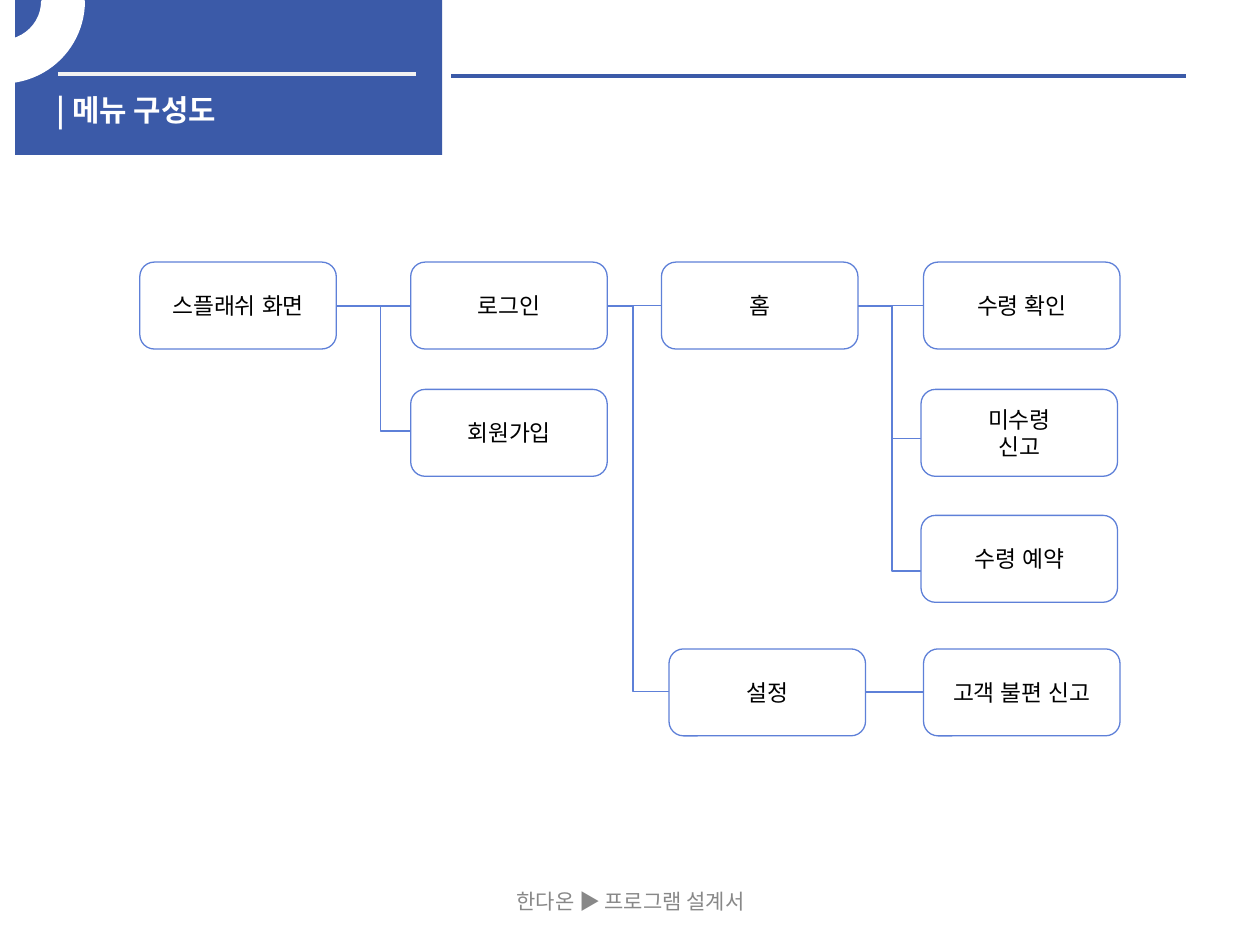
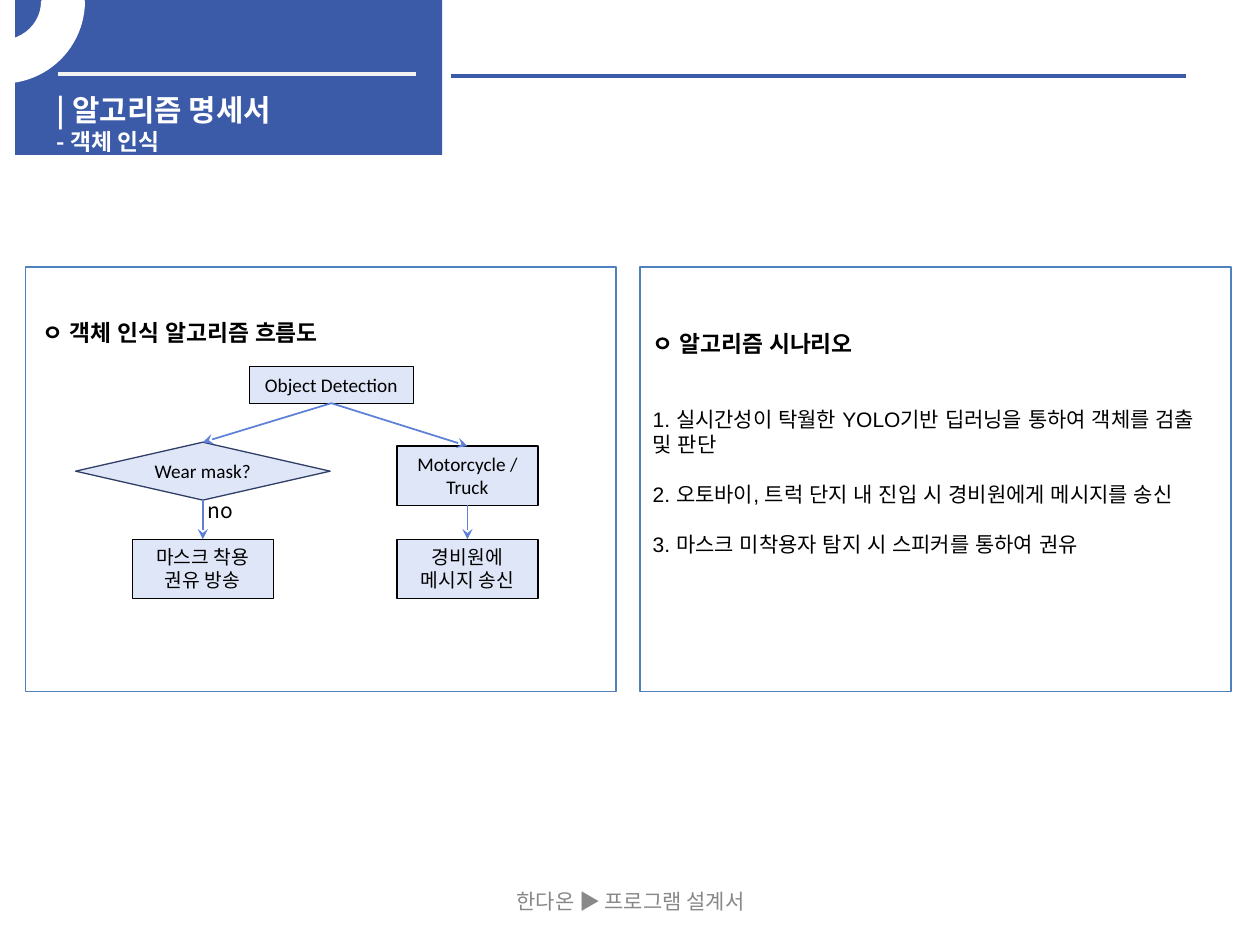
from dataclasses import dataclass

from lxml.etree import SubElement
from pptx import Presentation
from pptx.dml.color import RGBColor
from pptx.enum.shapes import MSO_CONNECTOR, MSO_SHAPE
from pptx.enum.text import MSO_ANCHOR, MSO_AUTO_SIZE, PP_ALIGN
from pptx.oxml.ns import qn
from pptx.util import Pt

SCALE = 9144
TOP, LEFT, BOTTOM, RIGHT = range(4)


def px(length):
    """Turn whole px, 100 to the inch, into EMU."""
    return length * SCALE


@dataclass(frozen=True)
class Type:
    """A font with its size, colour and weight."""
    font: str
    size: int
    color: str = "000000"
    bold: bool = False


@dataclass(frozen=True)
class Theme:
    """Colours and type sizes shared by the deck."""
    white: str = "FFFFFF"
    band: str = "3B5AA8"
    band_rule: str = "F2F2F2"
    link: str = "5E80D8"
    panel: str = "4F81BD"
    step: str = "DFE6F7"
    step_edge: str = "000000"
    choice_edge: str = "2E3E66"
    title: Type = Type("Noto Sans CJK KR", 17, "FFFFFF", True)
    subtitle: Type = Type("Noto Sans CJK KR", 13, "FFFFFF", True)
    footer: Type = Type("Noto Sans CJK KR", 12, "888888")
    heading: Type = Type("Arial", 13, bold=True)
    menu: Type = Type("Arial", 13)
    body: Type = Type("Arial", 12)
    flow: Type = Type("Calibri", 11)
    label: Type = Type("Noto Sans CJK KR", 12)


class Painter:
    """Holds the theme and the current slide, and draws each kind of element."""

    def __init__(self, deck, theme):
        self.deck, self.theme, self.page = deck, theme, None

    def start(self, layout, titles):
        """Add a page with the title band, the rules and the footer."""
        theme = self.theme
        self.page = self.deck.slides.add_slide(self.deck.slide_layouts[layout])
        self.shape(MSO_SHAPE.RECTANGLE, (12, 0, 339, 123), theme.band)
        self.line((46, 59), (330, 59), theme.band_rule, 2.25)
        self.line((358, 60), (941, 60), theme.band, 2.25)
        arc = self.shape(MSO_SHAPE.BLOCK_ARC, (-63, -63, 129, 128), theme.white, theme.white, 2)
        for index, value in enumerate((0, 54.41, 0.25)):
            arc.adjustments[index] = value
        title = self.placeholder(self.page.shapes.title, (35, 67, 323, 56))
        paras = self.fill_text(title, titles, theme.title)
        for para, style, pitch in zip(paras, (theme.title, theme.subtitle), (21, 16)):
            para.line_spacing = Pt(pitch)
            self.style(para.runs[0], style)
        self.text((342, 695, 317, 40), ["한다온 ▶ 프로그램 설계서"], theme.footer,
                  PP_ALIGN.CENTER, MSO_ANCHOR.MIDDLE)

    def style(self, span, style):
        """Give a run its font, for Latin and Korean letters alike."""
        font = span.font
        font.name, font.size, font.bold = style.font, Pt(style.size), style.bold
        font.color.rgb = RGBColor.from_string(style.color)
        properties = font._element
        east = properties.find(qn("a:ea"))
        if east is None:
            east = properties.makeelement(qn("a:ea"), {})
            properties.find(qn("a:latin")).addnext(east)
        east.set("typeface", style.font)

    def fill_text(self, box, texts, style, align=PP_ALIGN.LEFT, anchor=MSO_ANCHOR.TOP):
        """Put in one paragraph for each text and return them."""
        frame = box.text_frame
        frame.word_wrap, frame.auto_size = True, MSO_AUTO_SIZE.NONE
        frame.vertical_anchor = anchor
        frame.margin_left = frame.margin_right = px(10)
        frame.margin_top = frame.margin_bottom = px(5)
        for number, text in enumerate(texts):
            para = frame.add_paragraph() if number else frame.paragraphs[0]
            para.alignment, para.space_before = align, Pt(0)
            span = para.add_run()
            span.text = text
            self.style(span, style)
        return frame.paragraphs

    def placeholder(self, box, area):
        """Move a template placeholder to the front, at the given area."""
        box.left, box.top, box.width, box.height = map(px, area)
        self.page.shapes._spTree.append(box._element)
        return box

    def text(self, area, texts, style, align=PP_ALIGN.LEFT, anchor=MSO_ANCHOR.TOP):
        """Add a text box."""
        box = self.page.shapes.add_textbox(*map(px, area))
        self.fill_text(box, texts, style, align, anchor)

    def outline(self, box, color, width=0.75):
        """Draw the edge of a box."""
        box.line.color.rgb = RGBColor.from_string(color)
        box.line.width = Pt(width)

    def shape(self, kind, area, fill=None, edge=None, width=0.75):
        """Add a preset shape without a shadow."""
        box = self.page.shapes.add_shape(kind, *map(px, area))
        box.shadow.inherit = False
        if fill:
            box.fill.solid()
            box.fill.fore_color.rgb = RGBColor.from_string(fill)
        else:
            box.fill.background()
        if edge:
            self.outline(box, edge, width)
        else:
            box.line.fill.background()
        return box

    def menu(self, left, top, *texts):
        """Add a rounded menu box."""
        box = self.shape(MSO_SHAPE.ROUNDED_RECTANGLE, (left, top, 156, 69),
                         self.theme.white, self.theme.link)
        self.fill_text(box, texts, self.theme.menu, PP_ALIGN.CENTER, MSO_ANCHOR.MIDDLE)
        return box

    def step(self, area, text, kind=MSO_SHAPE.RECTANGLE, anchor=MSO_ANCHOR.TOP):
        """Add a flow chart box."""
        theme = self.theme
        edge = theme.choice_edge if kind == MSO_SHAPE.DIAMOND else theme.step_edge
        box = self.shape(kind, area, theme.step, edge)
        self.fill_text(box, [text], theme.flow, PP_ALIGN.CENTER, anchor)
        return box

    def line(self, start, end, color, width, kind=MSO_CONNECTOR.STRAIGHT):
        """Add a connector without a shadow."""
        link = self.page.shapes.add_connector(kind, *map(px, start + end))
        self.outline(link, color, width)
        SubElement(link._element.spPr, qn("a:effectLst"))
        return link

    def join(self, first, first_side, second, second_side, arrow=False):
        """Join two boxes with a straight connector."""
        link = self.line((0, 0), (0, 0), self.theme.link, 1)
        link.begin_connect(first, first_side)
        link.end_connect(second, second_side)
        if arrow:
            SubElement(link._element.spPr.find(qn("a:ln")), qn("a:tailEnd"), type="stealth")
        return link

    def elbow(self, start, end, bend=50000):
        """Add a bent connector that turns at the given share of its width."""
        link = self.line(start, end, self.theme.link, 1, MSO_CONNECTOR.ELBOW)
        geometry = link._element.spPr.find(qn("a:prstGeom"))
        guides = geometry.find(qn("a:avLst"))
        if guides is None:
            guides = SubElement(geometry, qn("a:avLst"))
        SubElement(guides, qn("a:gd"), name="adj1", fmla=f"val {bend}")
        return link

    def bullets(self, area, heading, items):
        """Fill the body placeholder with a heading and its numbered items."""
        body = self.placeholder(self.page.placeholders[1], area)
        self.outline(body, self.theme.panel)
        paras = self.fill_text(body, [heading, *items], self.theme.body)
        body.text_frame.margin_top = px(50)
        self.style(paras[0].runs[0], self.theme.heading)
        for number, para in enumerate(paras):
            para.line_spacing = 1.0
            para.space_before = Pt((0, 28)[number] if number < 2 else 14)
            properties = para._p.get_or_add_pPr()
            properties.set("marL", "0")
            properties.set("indent", "0")
            SubElement(properties, qn("a:buNone"))


def menu_page(painter):
    """Draw the menu tree."""
    painter.start(5, ["| 메뉴 구성도"])
    rows = (208, 309, 409, 515)
    splash = painter.menu(111, rows[0], "스플래쉬 화면")
    login = painter.menu(326, rows[0], "로그인")
    painter.menu(326, rows[1], "회원가입")
    painter.menu(525, rows[0], "홈")
    receipt = painter.menu(733, rows[0], "수령 확인")
    painter.menu(731, rows[1], "미수령", "신고")
    painter.menu(731, rows[2], "수령 예약")
    settings = painter.menu(531, rows[3], "설정")
    complaint = painter.menu(733, rows[3], "고객 불편 신고")
    links = (
        painter.join(settings, LEFT, complaint, LEFT),
        painter.join(login, RIGHT, receipt, LEFT),
        painter.elbow((249, 243), (355, 342)),
        painter.elbow((249, 243), (558, 549), 82000),
        painter.elbow((654, 243), (762, 348)),
        painter.elbow((654, 243), (762, 453)),
    )
    for link in links:
        splash._element.addprevious(link._element)


def algorithm_page(painter):
    """Draw the detection flow beside its scenario."""
    painter.start(1, ["| 알고리즘 명세서", "- 객체 인식"])
    painter.bullets((508, 212, 469, 337), "ㅇ 알고리즘 시나리오", [
        "1. 실시간성이 탁월한 YOLO기반 딥러닝을 통하여 객체를 검출 및 판단",
        "2. 오토바이, 트럭 단지 내 진입 시 경비원에게 메시지를 송신",
        "3. 마스크 미착용자 탐지 시 스피커를 통하여 권유",
    ])
    painter.shape(MSO_SHAPE.RECTANGLE, (20, 212, 469, 337), edge=painter.theme.panel)
    painter.text((24, 248, 412, 32), ["ㅇ 객체 인식 알고리즘 흐름도"], painter.theme.heading)
    detection = painter.step((198, 291, 130, 29), "Object Detection")
    mask = painter.step((60, 351, 202, 46), "Wear mask?", MSO_SHAPE.DIAMOND, MSO_ANCHOR.MIDDLE)
    vehicle = painter.step((315, 354, 112, 47), "Motorcycle / Truck")
    broadcast = painter.step((105, 428, 112, 47), "마스크 착용 권유 방송")
    message = painter.step((315, 428, 112, 47), "경비원에 메시지 송신")
    for first, second in ((detection, mask), (detection, vehicle),
                          (mask, broadcast), (vehicle, message)):
        painter.join(first, BOTTOM, second, TOP, arrow=True)
    painter.text((155, 390, 55, 40), ["no"], painter.theme.label)


def main():
    """Build and save the deck."""
    deck = Presentation()
    deck.slide_width, deck.slide_height = px(1000), px(750)
    painter = Painter(deck, Theme())
    menu_page(painter)
    algorithm_page(painter)
    deck.save("out.pptx")


if __name__ == "__main__":
    main()
